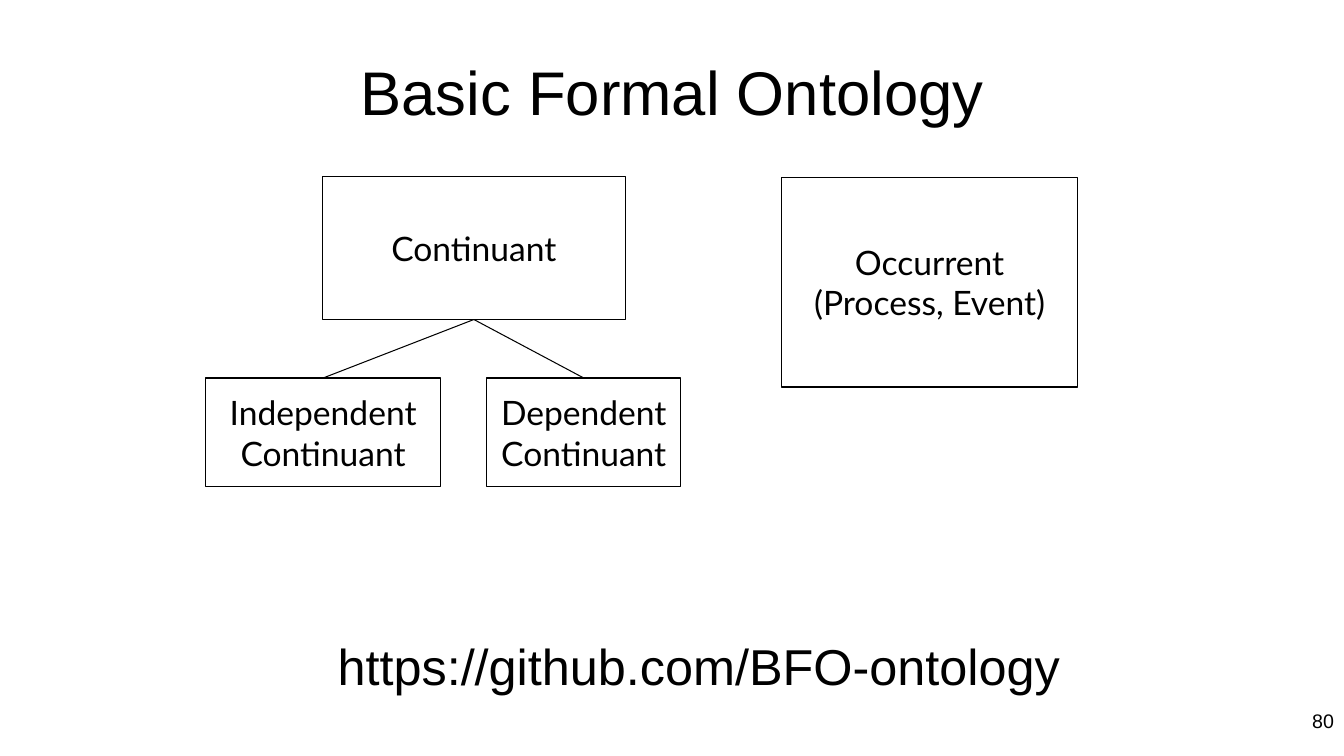
from lxml.etree import SubElement
from pptx import Presentation
from pptx.dml.color import RGBColor
from pptx.enum.shapes import MSO_CONNECTOR, MSO_SHAPE
from pptx.enum.text import MSO_ANCHOR, PP_ALIGN
from pptx.oxml.ns import qn
from pptx.util import Pt

PX = 9144  # EMU per px, 100 px to the inch
COLORS = {"ink": "000000", "paper": "FFFFFF"}
TITLE = {"name": "Arial", "size": Pt(44)}
LINK = {"name": "Arial", "size": Pt(36)}
NUMBER = {"name": "Arial", "size": Pt(14)}
NODE = {"name": "Lato", "size": Pt(24)}
BOTTOM, TOP = 2, 0


def px(*lengths):
    return [n * PX for n in lengths]


def color(name):
    return RGBColor.from_string(COLORS[name])


def write(shape, lines, font, align, frame):
    tf = shape.text_frame
    for key, value in frame.items():
        setattr(tf, key, value)
    for i, line in enumerate(lines):
        p = tf.paragraphs[0] if i == 0 else tf.add_paragraph()
        p.alignment = align
        r = p.add_run()
        r.text = line
        for key, value in font.items():
            setattr(r.font, key, value)
        r.font.color.rgb = color("ink")


def add_text(s, box, text, font, align, **frame):
    tb = s.shapes.add_textbox(*px(*box))
    write(tb, [text], font, align, {"word_wrap": True, **frame})
    return tb


def add_node(s, box, *lines):
    sp = s.shapes.add_shape(MSO_SHAPE.RECTANGLE, *px(*box))
    sp.shadow.inherit = False
    sp.fill.background()
    sp.line.color.rgb = color("ink")
    sp.line.width = Pt(0.75)
    write(sp, lines, NODE, PP_ALIGN.CENTER,
          {"word_wrap": False, "vertical_anchor": MSO_ANCHOR.MIDDLE})
    return sp


def add_branch(s, parent, child):
    c = s.shapes.add_connector(MSO_CONNECTOR.STRAIGHT, 0, 0, 0, 0)
    c.begin_connect(parent, BOTTOM)
    c.end_connect(child, TOP)
    c.line.color.rgb = color("ink")
    c.line.width = Pt(0.75)
    SubElement(c._element.spPr, qn("a:effectLst"))


def add_ontology(s, x, y):
    """Draw the class diagram with its top left corner at x, y."""
    continuant = add_node(s, (x + 116, y, 300, 142), "Continuant")
    add_node(s, (x + 571, y + 1, 294, 208), "Occurrent", "(Process, Event)")
    for left, width, kind in ((0, 233, "Independent"), (279, 192, "Dependent")):
        child = add_node(s, (x + left, y + 200, width, 108), kind, "Continuant")
        add_branch(s, continuant, child)


def add_footer(s, x, y):
    link = add_text(s, (x, y, 738, 71), "https://github.com/BFO-ontology", LINK,
                    PP_ALIGN.LEFT, word_wrap=False,
                    vertical_anchor=MSO_ANCHOR.MIDDLE)
    link.fill.solid()
    link.fill.fore_color.rgb = color("paper")
    add_text(s, (x + 697, y + 73, 311, 52), "80", NUMBER, PP_ALIGN.RIGHT)


def main():
    prs = Presentation()
    prs.slide_width, prs.slide_height = px(1333, 750)
    s = prs.slides.add_slide(prs.slide_layouts[6])
    add_text(s, (167, 42, 1000, 75), "Basic Formal Ontology", TITLE,
             PP_ALIGN.CENTER, margin_top=11 * PX)
    add_ontology(s, 204, 175)
    add_footer(s, 325, 625)
    prs.save("out.pptx")


if __name__ == "__main__":
    main()
